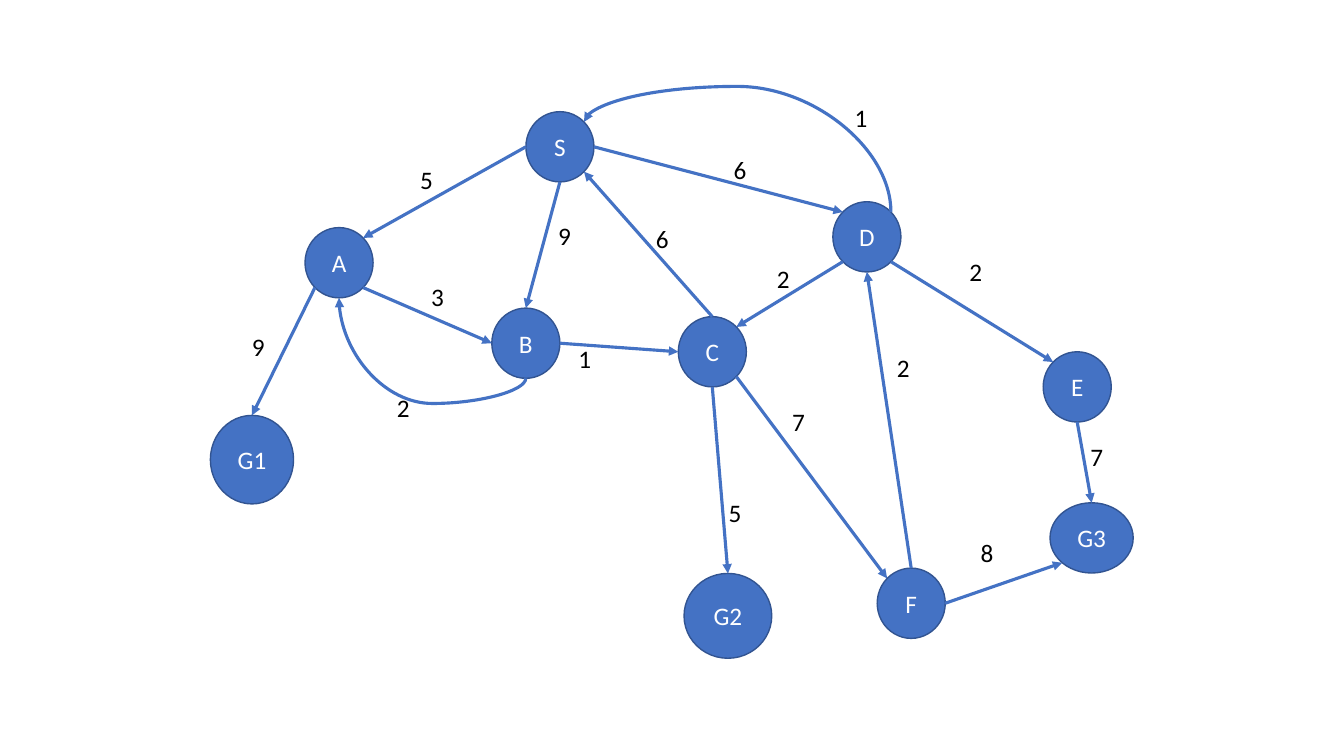
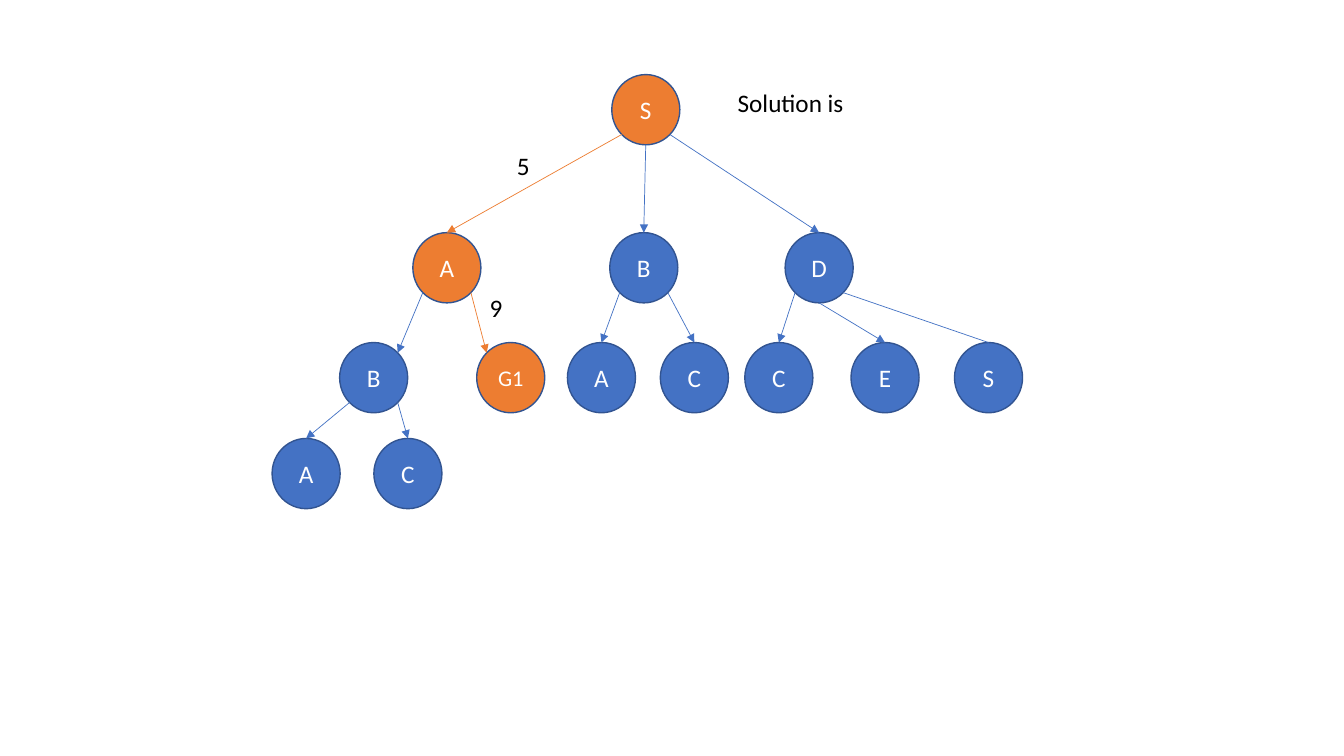
import math

import pptx
import pptx.dml.color
import pptx.enum.shapes
import pptx.enum.text
import pptx.oxml.ns
import pptx.util
from lxml import etree

RGB = pptx.dml.color.RGBColor
BLUE = RGB(0x44, 0x72, 0xC4)
NAVY = RGB(0x32, 0x54, 0x91)
ORANGE = RGB(0xED, 0x7D, 0x31)
WHITE = RGB(0xFF, 0xFF, 0xFF)
BLACK = RGB(0x00, 0x00, 0x00)

FONT = "Calibri"
COLS, ROWS = 80, 45
NODE = (4.05, 4.18)
SIDES = ("N", "NW", "W", "SW", "S", "SE", "E", "NE")

qn = pptx.oxml.ns.qn
KIND = pptx.enum.shapes.MSO_CONNECTOR


class Board:
    def __init__(self):
        self.deck = pptx.Presentation()
        self.deck.slide_width = pptx.util.Emu(12192000)
        self.deck.slide_height = pptx.util.Emu(6858000)
        self.slide = None
        self.nodes = {}

    def new(self):
        self.slide = self.deck.slides.add_slide(self.deck.slide_layouts[6])
        self.nodes = {}

    def x(self, col):
        return round(self.deck.slide_width * col / COLS)

    def y(self, row):
        return round(self.deck.slide_height * row / ROWS)

    def box(self, col, row, wide, high):
        return self.x(col), self.y(row), self.x(wide), self.y(high)

    def run(self, para, text, color, size=18):
        run = para.add_run()
        run.text = text
        run.font.name = FONT
        run.font.size = pptx.util.Pt(size)
        run.font.color.rgb = color

    def node(self, key, text, col, row, dims=NODE, fill=BLUE, size=18):
        wide, high = dims
        shape = self.slide.shapes.add_shape(
            pptx.enum.shapes.MSO_SHAPE.OVAL,
            *self.box(col - wide / 2, row - high / 2, wide, high))
        shape.shadow.inherit = False
        shape.fill.solid()
        shape.fill.fore_color.rgb = fill
        shape.line.color.rgb = NAVY
        shape.line.width = pptx.util.Pt(1)
        frame = shape.text_frame
        frame.vertical_anchor = pptx.enum.text.MSO_ANCHOR.MIDDLE
        para = frame.paragraphs[0]
        para.alignment = pptx.enum.text.PP_ALIGN.CENTER
        self.run(para, text, WHITE, size)
        self.nodes[key] = shape

    def site(self, key, side):
        shape = self.nodes[key]
        turn = math.radians(45 * SIDES.index(side))
        return (round(shape.left + shape.width * (1 - math.sin(turn)) / 2),
                round(shape.top + shape.height * (1 - math.cos(turn)) / 2))

    def dress(self, line, ends, color, weight, head=True):
        line.line.color.rgb = color
        line.line.width = pptx.util.Pt(weight)
        props = line.element.spPr
        if head:
            etree.SubElement(props.find(qn("a:ln")), qn("a:tailEnd"), type="triangle")
        etree.SubElement(props, qn("a:effectLst"))
        glue = line.element.find(".//" + qn("p:cNvCxnSpPr"))
        for tag, (key, side) in zip(("a:stCxn", "a:endCxn"), ends):
            etree.SubElement(glue, qn(tag), id=str(self.nodes[key].shape_id),
                             idx=str(SIDES.index(side)))

    def edge(self, start, exit, end, entry, color=BLUE, weight=2.25, head=True):
        line = self.slide.shapes.add_connector(
            KIND.STRAIGHT, *self.site(start, exit), *self.site(end, entry))
        self.dress(line, ((start, exit), (end, entry)), color, weight, head)

    def curve(self, start, exit, end, entry, turn, flip, bend):
        (ax, ay), (bx, by) = self.site(start, exit), self.site(end, entry)
        midx, midy = (ax + bx) // 2, (ay + by) // 2
        halfx, halfy = abs(by - ay) // 2, abs(bx - ax) // 2
        line = self.slide.shapes.add_connector(
            KIND.CURVE, midx - halfx, midy - halfy, midx + halfx, midy + halfy)
        props = line.element.spPr
        frame = props.find(qn("a:xfrm"))
        frame.set("rot", str(turn * 60000))
        frame.set(flip, "1")
        geom = props.find(qn("a:prstGeom"))
        guides = geom.find(qn("a:avLst"))
        if guides is None:
            guides = etree.SubElement(geom, qn("a:avLst"))
        etree.SubElement(guides, qn("a:gd"), name="adj1",
                         fmla=f"val {round(bend * 1000)}")
        self.dress(line, ((start, exit), (end, entry)), BLUE, 2.25)

    def label(self, text, col, row, wide=2.66):
        shape = self.slide.shapes.add_textbox(*self.box(col, row, wide, 2.42))
        frame = shape.text_frame
        frame.word_wrap = True
        frame.auto_size = pptx.enum.text.MSO_AUTO_SIZE.SHAPE_TO_FIT_TEXT
        self.run(frame.paragraphs[0], text, BLACK)


def graph(board):
    board.new()
    for name, col, row, *dims in (
            ("S", 33.33, 8.74), ("A", 20.18, 15.64), ("B", 31.3, 20.43),
            ("C", 42.4, 20.94), ("D", 51.6, 14.1), ("E", 64.12, 23.03),
            ("G3", 64.98, 32.02, (4.95, 4.18)), ("F", 54.24, 35.91),
            ("G2", 43.33, 36.66, (5.22, 5.05)), ("G1", 15, 27.36, (4.95, 5.27))):
        board.node(name, name, col, row, *dims)
    for ends in (
            ("S", "W", "A", "NE"), ("S", "S", "B", "N"), ("S", "E", "D", "NW"),
            ("C", "N", "S", "SE"), ("A", "SW", "G1", "N"), ("A", "SE", "B", "W"),
            ("B", "E", "C", "W"), ("D", "SE", "E", "NW"), ("E", "S", "G3", "N"),
            ("F", "E", "G3", "SW"), ("C", "SE", "F", "NW"), ("C", "S", "G2", "N"),
            ("F", "N", "D", "S"), ("D", "SW", "C", "NE")):
        board.edge(*ends)
    board.curve("D", "NE", "S", "NE", 270, "flipV", 139.5)
    board.curve("B", "S", "A", "S", 90, "flipH", -31.3)
    for cost in (
            ("1", 50.28, 5.82), ("2", 57.12, 14.94), ("7", 64.32, 25.98),
            ("8", 57.78, 31.68), ("2", 52.8, 20.7), ("6", 43.08, 8.88),
            ("7", 46.56, 23.88), ("5", 42.78, 29.28), ("2", 45.66, 15.36),
            ("6", 38.46, 13.02), ("9", 32.64, 12.84), ("5", 24.42, 9.48),
            ("2", 23.04, 23.04), ("3", 25.08, 16.44), ("1", 33.84, 20.16),
            ("9", 14.4, 19.44)):
        board.label(*cost)


def tree(board):
    board.new()
    levels = (
        (6.53, (("S", "S", 38.44),)),
        (15.94, (("A", "A", 26.6), ("B", "B", 38.32), ("D", "D", 48.76))),
        (22.48, (("AB", "B", 22.24), ("AG", "G1", 30.4), ("BA", "A", 35.8),
                 ("BC", "C", 41.33), ("DC", "C", 46.36), ("DE", "E", 52.68),
                 ("DS", "S", 58.84))),
        (28.19, (("ABA", "A", 18.22), ("ABC", "C", 24.28))))
    route = ("S", "A", "AG")
    for row, group in levels:
        for key, text, col in group:
            board.node(key, text, col, row,
                       fill=ORANGE if key in route else BLUE,
                       size=16 if text == "G1" else 18)
    for start, exit, end, entry in (
            ("S", "SW", "A", "N"), ("S", "S", "B", "N"), ("S", "SE", "D", "N"),
            ("A", "SW", "AB", "NE"), ("A", "SE", "AG", "NW"),
            ("B", "SW", "BA", "N"), ("B", "SE", "BC", "N"),
            ("D", "SW", "DC", "N"), ("D", "S", "DE", "N"), ("D", "SE", "DS", "N"),
            ("AB", "SW", "ABA", "N"), ("AB", "SE", "ABC", "N")):
        board.edge(start, exit, end, entry, ORANGE if end in route else BLUE,
                   0.5, end != "DS")
    board.label("Solution is", 43.32, 4.92, 35.22)
    board.label("5", 30.18, 8.64)
    board.label("9", 28.56, 17.1)


def main():
    board = Board()
    graph(board)
    tree(board)
    board.deck.save("out.pptx")


if __name__ == "__main__":
    main()
